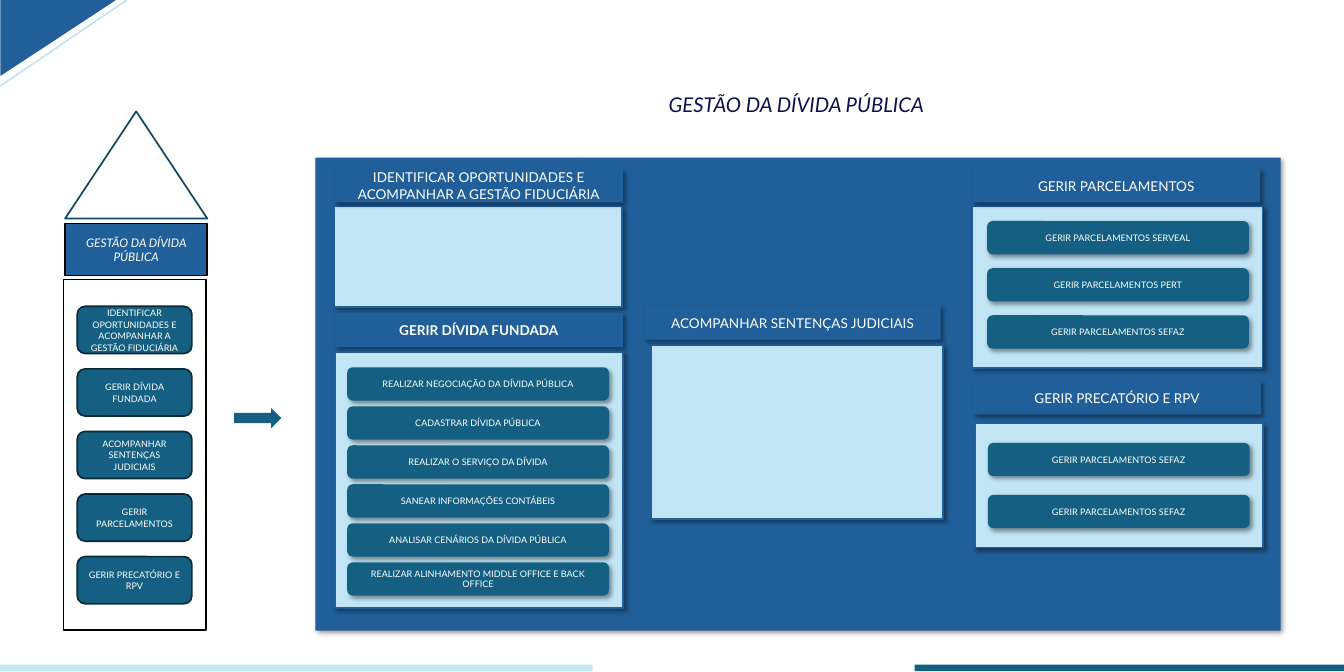
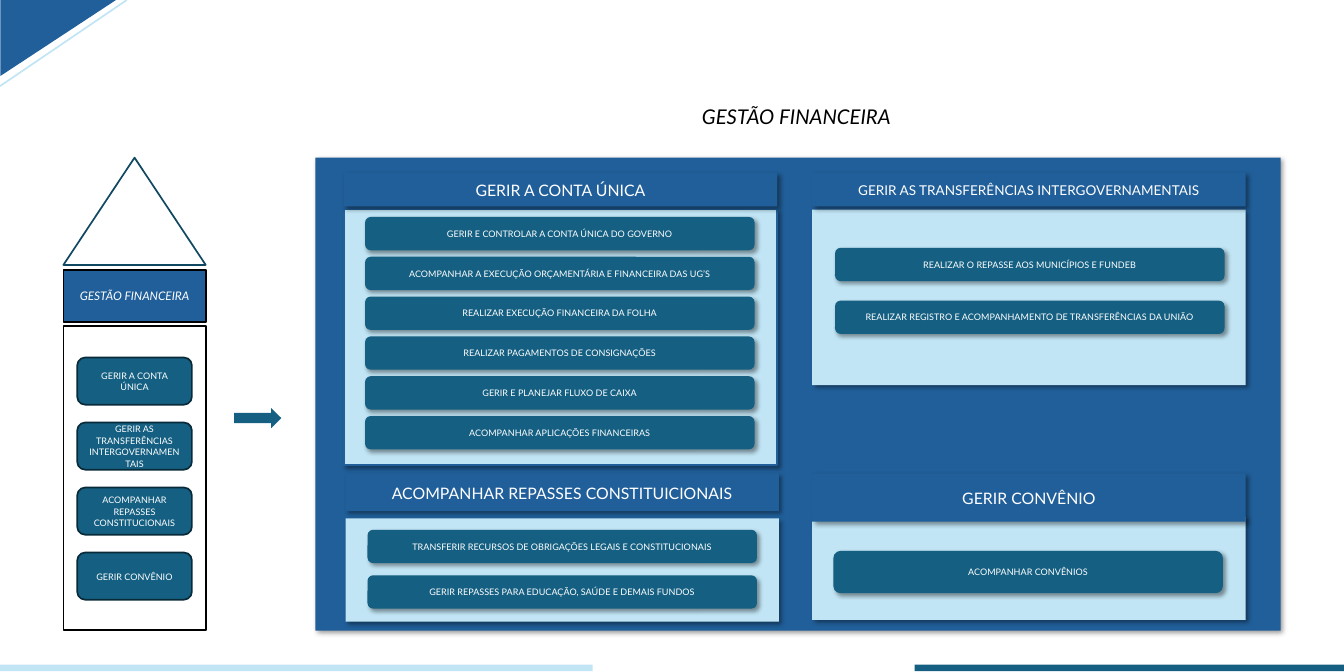
from lxml import etree
from pptx import Presentation, util as u
from pptx.dml.color import RGBColor
from pptx.enum import shapes, text
from pptx.oxml import ns

PX = 9144
FONT = "Lato"
BLUE, TEAL, PALE = "215F9A", "156082", "C1E5F5"
WHITE, BLACK, NAVY = "FFFFFF", "000000", "09124E"
ROOF, EDGE = "104862", "092A39"
KIND = shapes.MSO_SHAPE
rgb = RGBColor.from_string


def box(slide, kind, area, fill, line=None, shade=False):
    shape = slide.shapes.add_shape(kind, *[n * PX for n in area])
    shape.fill.solid()
    shape.fill.fore_color.rgb = rgb(fill)
    if line:
        shape.line.color.rgb = rgb(line)
        shape.line.width = u.Pt(1.5)
    else:
        shape.line.fill.background()
    shape.shadow.inherit = False
    if shade:
        effect = shape._element.spPr.find(ns.qn("a:effectLst"))
        drop = etree.SubElement(effect, ns.qn("a:outerShdw"), blurRad="50800",
                                dist="38100", dir="2700000", algn="tl", rotWithShape="0")
        tint = etree.SubElement(drop, ns.qn("a:srgbClr"), val=BLACK)
        etree.SubElement(tint, ns.qn("a:alpha"), val="40000")
    return shape


def write(shape, words, size, color=WHITE, bold=False, italic=False, lead=None):
    frame = shape.text_frame
    frame.word_wrap = True
    frame.vertical_anchor = text.MSO_ANCHOR.MIDDLE
    frame.text = words
    para = frame.paragraphs[0]
    para.alignment = text.PP_ALIGN.CENTER
    if lead:
        para.line_spacing = lead
        para.space_before = u.Pt(0.8)
    font = para.runs[0].font
    font.name, font.size = FONT, u.Pt(size)
    font.bold, font.italic = bold, italic
    font.color.rgb = rgb(color)


pages = [
    {
        "title": "GESTÃO DA DÍVIDA PÚBLICA", "color": NAVY, "foot": 35,
        "roof": (80, 137), "first": 377, "step": 77,
        "steps": ["IDENTIFICAR OPORTUNIDADES E ACOMPANHAR A GESTÃO FIDUCIÁRIA",
                  "GERIR DÍVIDA FUNDADA", "ACOMPANHAR SENTENÇAS JUDICIAIS",
                  "GERIR PARCELAMENTOS", "GERIR PRECATÓRIO E RPV"],
        "groups": [
            ("IDENTIFICAR OPORTUNIDADES E ACOMPANHAR A GESTÃO FIDUCIÁRIA", 12, False,
             (412, 207, 354, 42), (411, 254, 354, 124), BLUE, None, []),
            ("ACOMPANHAR SENTENÇAS JUDICIAIS", 12, False,
             (793, 376, 364, 42), (801, 425, 359, 214), BLUE, None, []),
            ("GERIR DÍVIDA FUNDADA", 12, True,
             (412, 385, 354, 42), (412, 433, 354, 315), BLUE, (427, 452, 322, 41, 48),
             ["REALIZAR NEGOCIAÇÃO DA DÍVIDA PÚBLICA", "CADASTRAR DÍVIDA PÚBLICA",
              "REALIZAR O SERVIÇO DA DÍVIDA", "SANEAR INFORMAÇÕES CONTÁBEIS",
              "ANALISAR CENÁRIOS DA DÍVIDA PÚBLICA",
              "REALIZAR ALINHAMENTO MIDDLE OFFICE E BACK OFFICE"]),
            ("GERIR PARCELAMENTOS", 12, False,
             (1196, 207, 354, 42), (1196, 254, 357, 199), BLUE, (1214, 272, 322, 41, 58),
             ["GERIR PARCELAMENTOS SERVEAL", "GERIR PARCELAMENTOS PERT",
              "GERIR PARCELAMENTOS SEFAZ"]),
            ("GERIR PRECATÓRIO E RPV", 12, False,
             (1197, 468, 354, 42), (1199, 521, 354, 153), BLUE, (1215, 545, 322, 41, 64),
             ["GERIR PARCELAMENTOS SEFAZ", "GERIR PARCELAMENTOS SEFAZ"]),
        ],
    },
    {
        "title": "GESTÃO FINANCEIRA", "color": BLACK, "foot": 5,
        "roof": (78, 194), "first": 440, "step": 80,
        "steps": ["GERIR A CONTA ÚNICA", "GERIR AS TRANSFERÊNCIAS INTERGOVERNAMENTAIS",
                  "ACOMPANHAR REPASSES CONSTITUCIONAIS", "GERIR CONVÊNIO"],
        "groups": [
            ("GERIR A CONTA ÚNICA", 14, False,
             (423, 212, 533, 42), (423, 258, 533, 314), BLUE, (449, 267, 479, 41, 49),
             ["GERIR E CONTROLAR A CONTA ÚNICA DO GOVERNO",
              "ACOMPANHAR A EXECUÇÃO ORÇAMENTÁRIA E FINANCEIRA DAS UG’S",
              "REALIZAR EXECUÇÃO FINANCEIRA DA FOLHA",
              "REALIZAR PAGAMENTOS DE CONSIGNAÇÕES",
              "GERIR E PLANEJAR FLUXO DE CAIXA",
              "ACOMPANHAR APLICAÇÕES FINANCEIRAS"]),
            ("GERIR AS TRANSFERÊNCIAS INTERGOVERNAMENTAIS", 12, False,
             (999, 212, 533, 42), (999, 258, 533, 216), None, (1027, 305, 479, 41, 65),
             ["REALIZAR O REPASSE AOS MUNICÍPIOS E FUNDEB",
              "REALIZAR REGISTRO E ACOMPANHAMENTO DE TRANSFERÊNCIAS DA UNIÃO"]),
            ("ACOMPANHAR REPASSES CONSTITUICIONAIS", 14, False,
             (425, 583, 533, 46), (425, 638, 533, 127), None, (452, 652, 479, 41, 56),
             ["TRANSFERIR RECURSOS DE OBRIGAÇÕES LEGAIS E CONSTITUCIONAIS",
              "GERIR REPASSES PARA EDUCAÇÃO, SAÚDE E DEMAIS FUNDOS"]),
            ("GERIR CONVÊNIO", 14, False,
             (999, 583, 533, 59), (999, 636, 533, 127), None, (1025, 678, 479, 52, 0),
             ["ACOMPANHAR CONVÊNIOS"]),
        ],
    },
]

deck = Presentation()
deck.slide_width, deck.slide_height = 1653 * PX, 827 * PX

for page in pages:
    slide = deck.slides.add_slide(deck.slide_layouts[6])

    box(slide, KIND.RIGHT_TRIANGLE, (25, -25, 94, 143), BLUE).rotation = 90
    stripe = slide.shapes.add_connector(
        shapes.MSO_CONNECTOR.STRAIGHT, 0, 106 * PX, 156 * PX, 0)
    stripe.line.color.rgb = rgb(PALE)
    stripe.line.width = u.Pt(1.5)
    etree.SubElement(stripe._element.spPr, ns.qn("a:effectLst"))
    box(slide, KIND.RECTANGLE, (1125, 818, 528, 8), TEAL)
    box(slide, KIND.RECTANGLE, (0, 818, 729, 8), PALE)

    left, top = page["roof"]
    box(slide, KIND.ISOSCELES_TRIANGLE, (left, top, 175, 132), WHITE, ROOF)
    box(slide, KIND.RECTANGLE, (78, top + 207, 175, 568 - top), WHITE, BLACK)
    name = box(slide, KIND.RECTANGLE, (left, top + 138, 175, 64), BLUE, BLACK)
    write(name, page["title"], 10.5, italic=True)
    for i, words in enumerate(page["steps"]):
        area = (95, page["first"] + i * page["step"], 141, 58)
        write(box(slide, KIND.ROUNDED_RECTANGLE, area, TEAL, EDGE), words, 8, lead=1.06)
    box(slide, KIND.RIGHT_ARROW, (288, 502, 58, 25), TEAL)

    title = box(slide, KIND.RECTANGLE, (386, 95, 1187, 97), WHITE)
    write(title, page["title"], 18, page["color"], italic=True)
    title.text_frame.margin_bottom = page["foot"] * PX
    box(slide, KIND.RECTANGLE, (388, 194, 1187, 582), BLUE, shade=True)

    for words, size, bold, head, body, line, grid, items in page["groups"]:
        box(slide, KIND.RECTANGLE, body, PALE, line, True)
        bar = box(slide, KIND.RECTANGLE, head, BLUE, shade=True)
        write(bar, words, size, bold=bold, lead=1.06)
        for i, item in enumerate(items):
            x, y, wide, high, step = grid
            area = (x, y + i * step, wide, high)
            write(box(slide, KIND.ROUNDED_RECTANGLE, area, TEAL, shade=True), item, 8)

deck.save("out.pptx")
